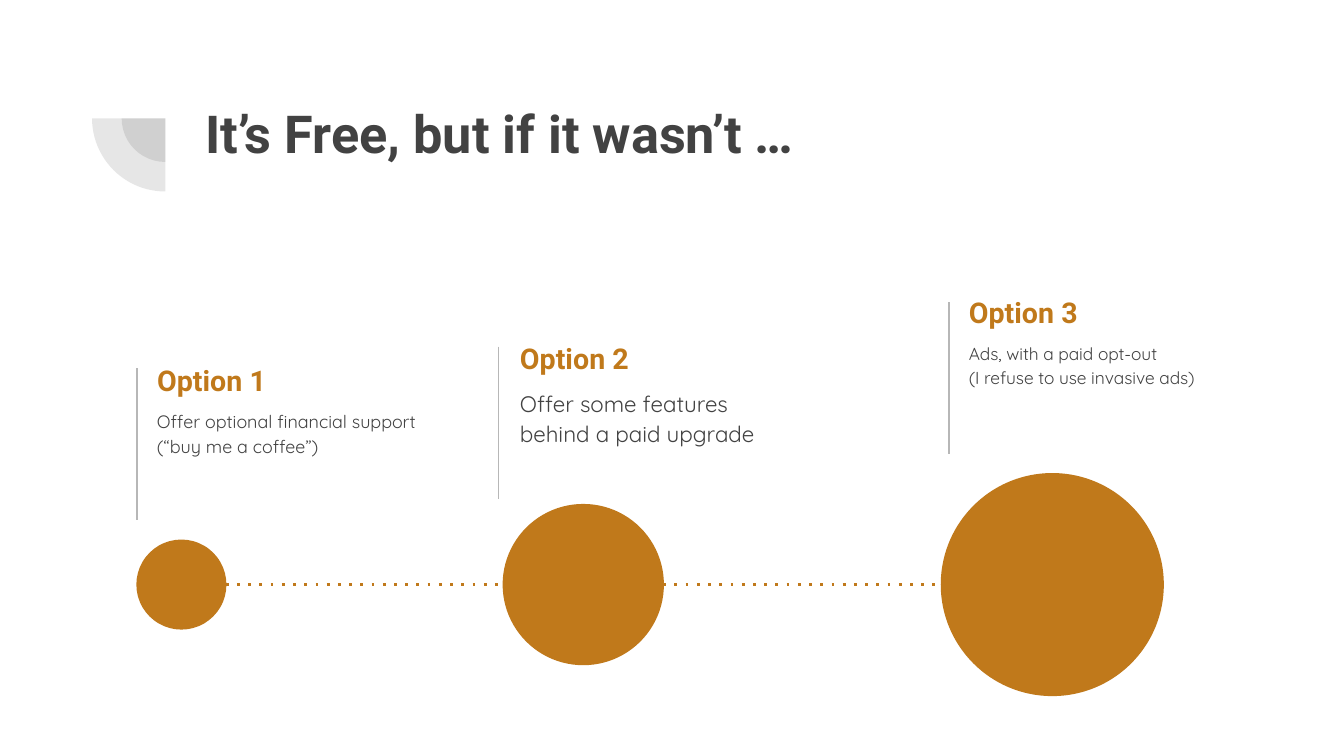
import pptx
import pptx.dml.color
import pptx.enum.shapes
import pptx.enum.text
import pptx.oxml.ns
import pptx.util
from lxml import etree

Inches = pptx.util.Inches
Pt = pptx.util.Pt
RGBColor = pptx.dml.color.RGBColor
Shape = pptx.enum.shapes.MSO_SHAPE
Anchor = pptx.enum.text.MSO_ANCHOR
qn = pptx.oxml.ns.qn

DARK = RGBColor(0x42, 0x42, 0x42)
AMBER = RGBColor(0xC0, 0x79, 0x1B)
GREY = RGBColor(0xB7, 0xB7, 0xB7)
HEADING_FONT = "Roboto"
BODY_FONT = "Quicksand"


class SlideBuilder:
    def __init__(self, slide):
        self.slide = slide

    def text(self, left, top, width, height, lines, size, color=DARK,
             font=BODY_FONT, bold=False, anchor=Anchor.TOP, spacing=1.0):
        box = self.slide.shapes.add_textbox(
            Inches(left), Inches(top), Inches(width), Inches(height))
        frame = box.text_frame
        frame.word_wrap = True
        frame.vertical_anchor = anchor
        frame.margin_left = frame.margin_right = Inches(0.1)
        frame.margin_top = frame.margin_bottom = Inches(0.1)
        paragraph = frame.paragraphs[0]
        paragraph.line_spacing = spacing
        for index, line in enumerate(lines):
            if index:
                paragraph.add_line_break()
            run = paragraph.add_run()
            run.text = line
            run.font.name = font
            run.font.size = Pt(size)
            run.font.bold = bold
            run.font.color.rgb = color

    def disc(self, center_x, center_y, diameter, color, kind=Shape.OVAL):
        radius = diameter / 2
        shape = self.slide.shapes.add_shape(
            kind, Inches(center_x - radius), Inches(center_y - radius),
            Inches(diameter), Inches(diameter))
        shape.shadow.inherit = False
        shape.fill.solid()
        shape.fill.fore_color.rgb = color
        shape.line.fill.background()
        return shape

    def quarter(self, center_x, center_y, diameter, color, opacity):
        shape = self.disc(center_x, center_y, diameter, color, Shape.PIE)
        shape.adjustments[0] = 108
        shape.adjustments[1] = 162
        shape.rotation = 270
        color_element = shape.fill._xPr.find(".//" + qn("a:srgbClr"))
        etree.SubElement(color_element, qn("a:alpha"), val=str(opacity * 1000))

    def line(self, x1, y1, x2, y2, color, width, dash=None):
        connector = self.slide.shapes.add_connector(
            pptx.enum.shapes.MSO_CONNECTOR.STRAIGHT,
            Inches(x1), Inches(y1), Inches(x2), Inches(y2))
        connector.line.color.rgb = color
        connector.line.width = Pt(width)
        if dash:
            etree.SubElement(connector.line._ln, qn("a:prstDash"), val=dash)
        etree.SubElement(connector._element.spPr, qn("a:effectLst"))

    def option(self, rule_x, rule_y, left, top, heading, lines, size,
               body_width=1.98):
        self.line(rule_x, rule_y, rule_x, rule_y + 1.13, GREY, 0.75)
        self.text(left, top, 1.98, 0.43, [heading], 15.3,
                  AMBER, HEADING_FONT, True, Anchor.MIDDLE)
        self.text(left, top + 0.32, body_width, 0.63, lines, size,
                  spacing=1.15)


def main():
    presentation = pptx.Presentation()
    presentation.slide_width = Inches(10)
    presentation.slide_height = presentation.slide_width * 9 // 16
    builder = SlideBuilder(
        presentation.slides.add_slide(presentation.slide_layouts[6]))

    # Corner ornament and title
    for diameter in (0.65, 1.09):
        builder.quarter(1.23, 0.88, diameter, DARK, 13)
    builder.text(1.43, 0.65, 7.69, 1.09, ["It’s Free, but if it wasn’t …"],
                 28, font=HEADING_FONT, bold=True)

    # Options
    builder.option(1.02, 2.74, 1.07, 2.61, "Option 1",
                   ["Offer optional financial support (“buy me a coffee”)"],
                   9.6, 2.33)
    builder.option(3.71, 2.58, 3.77, 2.45, "Option 2",
                   ["Offer some features behind a paid upgrade"], 12)
    builder.option(7.06, 2.25, 7.11, 2.11, "Option 3",
                   ["Ads, with a paid opt-out",
                    "(I refuse to use invasive ads)"], 9.3)

    # Growing circles on a dotted axis
    axis_y = 4.35
    builder.line(1.68, axis_y, 7, axis_y, AMBER, 1.5, "dot")
    for center_x, diameter in ((1.35, 0.67), (4.34, 1.2), (7.83, 1.66)):
        builder.disc(center_x, axis_y, diameter, AMBER)

    presentation.save("out.pptx")


if __name__ == "__main__":
    main()
